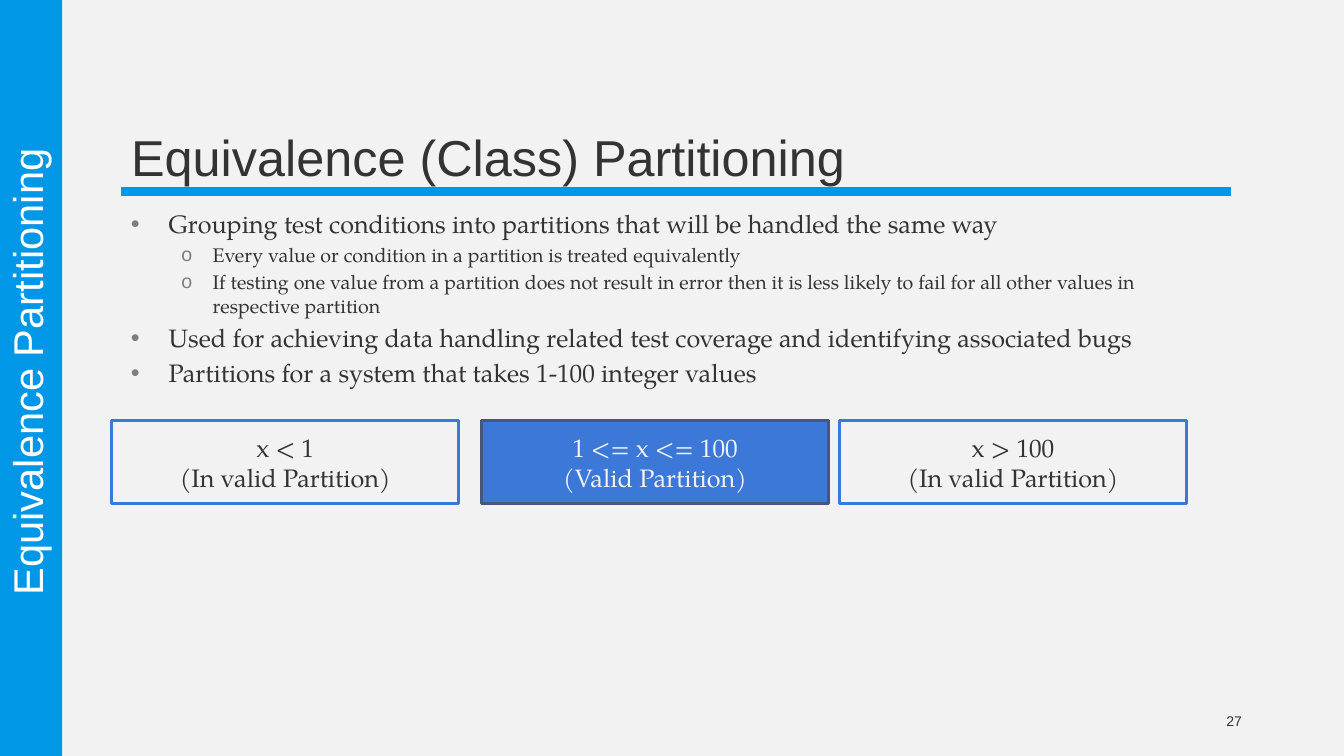
"""Build the slide on equivalence partitioning."""
from lxml.etree import SubElement
from pptx import Presentation
from pptx.dml.color import RGBColor
from pptx.enum.shapes import MSO_CONNECTOR, MSO_SHAPE
from pptx.enum.text import MSO_ANCHOR as Anchor, MSO_AUTO_SIZE, PP_ALIGN as Align
from pptx.oxml.ns import qn
from pptx.util import Cm, Pt

ACCENT = RGBColor(0x00, 0x97, 0xE6)
BLUE = RGBColor(0x3C, 0x78, 0xD8)
SLATE = RGBColor(0x46, 0x56, 0x83)
PAPER = RGBColor(0xF2, 0xF2, 0xF2)
INK = RGBColor(0x33, 0x33, 0x33)
WHITE = RGBColor(0xFF, 0xFF, 0xFF)
BULLET_GREY = "7F7F7F"
SANS = "Arial"
SERIF = "TeX Gyre Pagella"


def write(box, text, size, font, color, align, anchor):
    frame = box.text_frame
    frame.text = text
    frame.word_wrap = True
    frame.auto_size = MSO_AUTO_SIZE.NONE
    frame.vertical_anchor = anchor
    for para in frame.paragraphs:
        para.alignment = align
        for span in para.runs:
            span.font.size = Pt(size)
            span.font.name = font
            span.font.color.rgb = color


def add_bullet(para, symbol, left, hanging):
    props = para._p.get_or_add_pPr()
    props.set("marL", str(Cm(left)))
    props.set("indent", str(-Cm(hanging)))
    tint = SubElement(props, qn("a:buClr"))
    SubElement(tint, qn("a:srgbClr"), val=BULLET_GREY)
    SubElement(props, qn("a:buFont"), typeface=SANS)
    SubElement(props, qn("a:buChar"), char=symbol)


deck = Presentation()
deck.slide_width, deck.slide_height = Cm(33.87), Cm(19.05)
page = deck.slides.add_slide(deck.slide_layouts[5])
page.background.fill.solid()
page.background.fill.fore_color.rgb = PAPER

rule = page.shapes.add_connector(
    MSO_CONNECTOR.STRAIGHT, Cm(3.05), Cm(4.83), Cm(31.01), Cm(4.83))
rule.line.color.rgb = ACCENT
rule.line.width = Pt(6)
SubElement(rule._element.spPr, qn("a:effectLst"))

sidebar = page.shapes.add_shape(MSO_SHAPE.RECTANGLE, 0, 0, Cm(1.57), deck.slide_height)
sidebar.shadow.inherit = False
sidebar.fill.solid()
sidebar.fill.fore_color.rgb = ACCENT
sidebar.line.fill.background()

title = page.shapes.title
title.left, title.top, title.width, title.height = Cm(3.05), Cm(0.79), Cm(27.94), Cm(4.04)
write(title, "Equivalence (Class) Partitioning", 36, SANS, INK, Align.LEFT, Anchor.BOTTOM)
title.text_frame.paragraphs[0].line_spacing = 1.61

points = [
    (0, "Grouping test conditions into partitions that will be handled the same way"),
    (1, "Every value or condition in a partition is treated equivalently"),
    (1, "If testing one value from a partition does not result in error then it is "
        "less likely to fail for all other values in respective partition"),
    (0, "Used for achieving data handling related test coverage and identifying associated bugs"),
    (0, "Partitions for a system that takes 1-100 integer values"),
]
body = page.shapes.add_textbox(Cm(3.05), Cm(5.13), Cm(27.94), Cm(11.18))
write(body, "\n".join(text for level, text in points), 18, SERIF, INK, Align.LEFT, Anchor.TOP)
for para, (level, text) in zip(body.text_frame.paragraphs, points):
    para.level = level
    para.space_before = Pt(2.8 if level else 3.6)
    if level:
        para.runs[0].font.size = Pt(14)
        add_bullet(para, "o", 2.06, 0.79)
    else:
        add_bullet(para, "•", 0.95, 0.95)
body.text_frame.paragraphs[0].space_before = Pt(0)

partitions = [
    (2.82, "x < 1\n(In valid Partition)", PAPER, BLUE, INK),
    (12.14, "1 <= x <= 100\n(Valid Partition)", BLUE, SLATE, PAPER),
    (21.16, "x > 100\n(In valid Partition)", PAPER, BLUE, INK),
]
for left, text, fill, outline, color in partitions:
    box = page.shapes.add_shape(MSO_SHAPE.RECTANGLE, Cm(left), Cm(10.59), Cm(8.74), Cm(2.11))
    box.shadow.inherit = False
    box.fill.solid()
    box.fill.fore_color.rgb = fill
    box.line.color.rgb = outline
    box.line.width = Pt(2.25)
    write(box, text, 18, SERIF, color, Align.CENTER, Anchor.MIDDLE)

number = page.shapes.add_textbox(Cm(23.93), Cm(17.65), Cm(7.62), Cm(1.02))
write(number, "27", 10, SANS, INK, Align.RIGHT, Anchor.MIDDLE)

section = page.shapes.add_textbox(Cm(-7.77), Cm(8.74), Cm(17.12), Cm(1.27))
section.rotation = 270
write(section, "Equivalence Partitioning", 29.7, SANS, WHITE, Align.CENTER, Anchor.BOTTOM)
section.text_frame.paragraphs[0].line_spacing = 0.85

deck.save("out.pptx")
